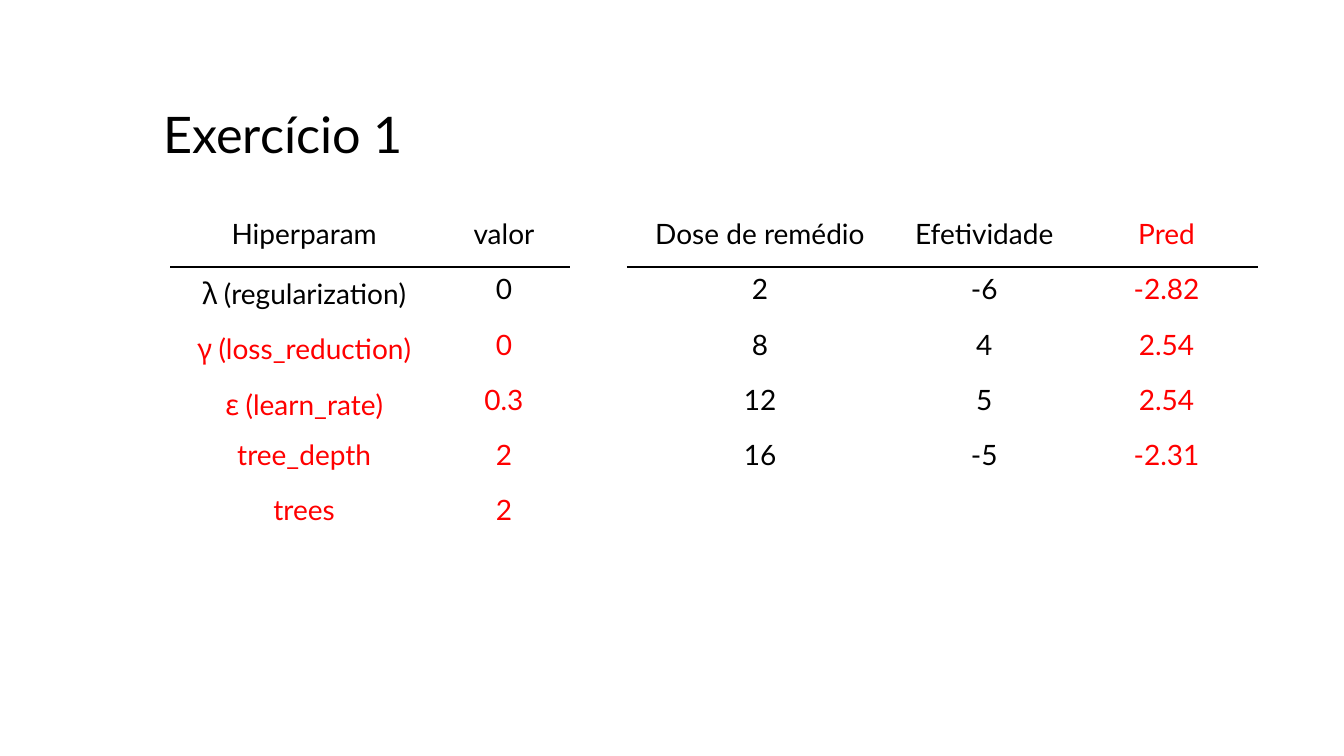
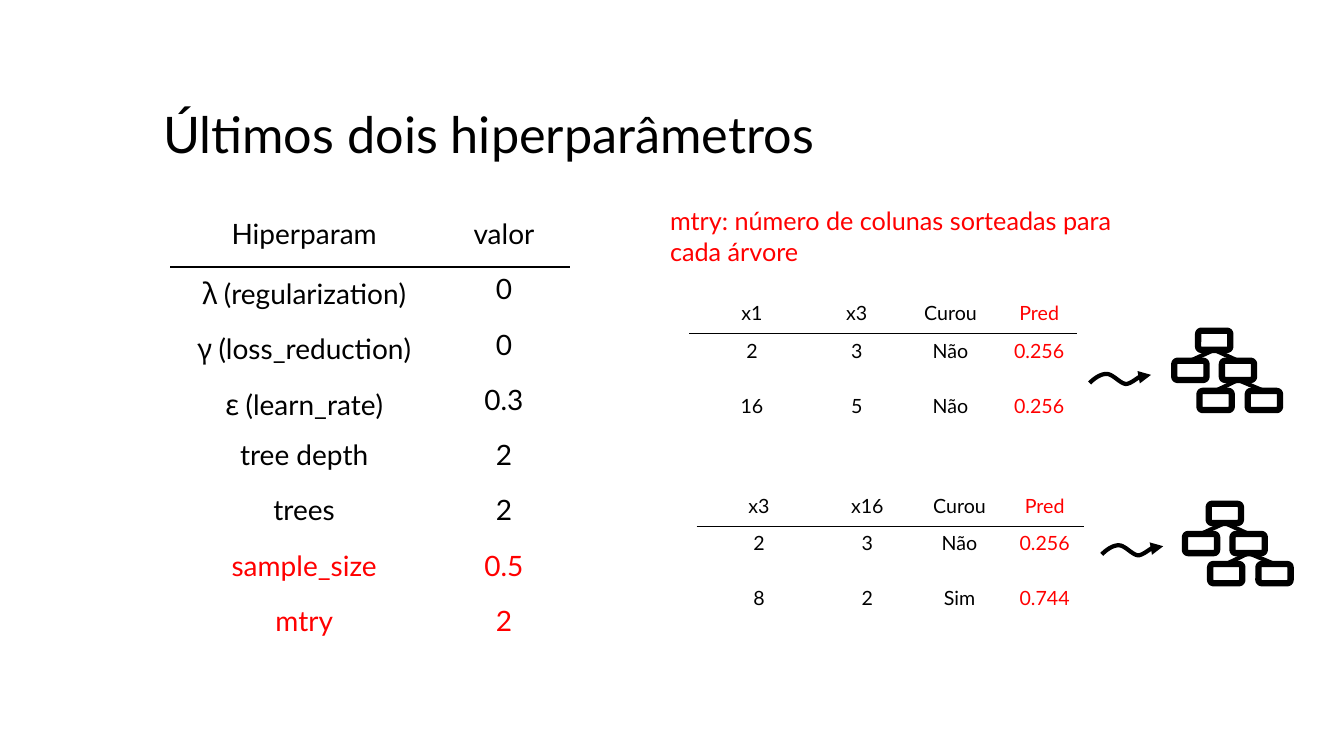
import pptx
import pptx.util
import pptx.dml.color
import pptx.enum.shapes
import pptx.enum.text
import pptx.oxml.ns
from lxml import etree

Pt = pptx.util.Pt
qn = pptx.oxml.ns.qn

COLOURS = {"text": "000000", "accent": "FF0000", "background": "FFFFFF"}
FONT, GREEK_FONT = "Lato", "Noto Sans CJK SC"
GREEK = "λγε"
NO_STYLE = "{2D5ABB26-0587-4C30-8999-92F81FD0307C}"
ROW_HEIGHT = 39.5

# Small tree: box corners, and links between parent and child boxes
BOX_WIDTH, BOX_HEIGHT = 23, 13.7
TREE_BOXES = [(17, 0), (0, 21.5), (34, 21.5), (18, 43), (52.5, 43)]
TREE_LINKS = [(0, 1), (0, 2), (2, 3), (2, 4)]

# Wavy arrow: cubic curves, each starting where the previous one ends
WAVE_START = (0, 6.5)
WAVE_CURVES = [
    [(3.6, 2.9), (7.9, 0), (12.2, 0)],
    [(16.6, 0), (21.6, 6.8), (25.9, 7.2)],
    [(29.5, 7.2), (34.6, 2.2), (37.4, 1.2)],
    [(40.3, 0.2), (41.8, 0.5), (43.9, 0.7)],
]
CURVE_STEPS = 10


def rgb(name):
    return pptx.dml.color.RGBColor.from_string(COLOURS[name])


def assign(target, values):
    for name, value in values.items():
        setattr(target, name, value)


def wave_points():
    points, start = [WAVE_START], WAVE_START
    for first, second, end in WAVE_CURVES:
        for step in range(1, CURVE_STEPS + 1):
            t = step / CURVE_STEPS
            weights = ((1 - t) ** 3, 3 * t * (1 - t) ** 2, 3 * t * t * (1 - t), t ** 3)
            corners = (start, first, second, end)
            points.append(tuple(sum(w * c[axis] for w, c in zip(weights, corners))
                                for axis in (0, 1)))
        start = end
    return points


class Deck:
    def __init__(self):
        self.presentation = pptx.Presentation()
        assign(self.presentation, {"slide_width": Pt(960), "slide_height": Pt(540)})
        self.slide = None

    def new_slide(self, title, title_width):
        self.slide = self.presentation.slides.add_slide(self.presentation.slide_layouts[6])
        self.text(109.4, 69.8, title_width, 51, title, 36, wrap=False)

    def run(self, paragraph, text, size, colour, font=FONT):
        run = paragraph.add_run()
        run.text = text
        assign(run.font, {"name": font, "size": Pt(size)})
        run.font.color.rgb = rgb(colour)

    def text(self, left, top, width, height, text, size, colour="text", wrap=True):
        box = self.slide.shapes.add_textbox(Pt(left), Pt(top), Pt(width), Pt(height))
        assign(box.text_frame, {
            "word_wrap": wrap,
            "auto_size": pptx.enum.text.MSO_AUTO_SIZE.SHAPE_TO_FIT_TEXT})
        self.run(box.text_frame.paragraphs[0], text, size, colour)

    def table(self, left, top, widths, rows, size=20, header_height=ROW_HEIGHT,
              accent_rows=(), accent_columns=()):
        heights = [header_height] + [ROW_HEIGHT] * (len(rows) - 1)
        frame = self.slide.shapes.add_table(len(rows), len(widths), Pt(left), Pt(top),
                                            Pt(sum(widths)), Pt(sum(heights)))
        table = frame.table
        assign(table, {"first_row": False, "horz_banding": False})
        table._tbl.tblPr.find(qn("a:tableStyleId")).text = NO_STYLE
        for column, width in zip(table.columns, widths):
            column.width = Pt(width)
        for row, height in zip(table.rows, heights):
            row.height = Pt(height)
        for i, row in enumerate(rows):
            for j, value in enumerate(row):
                accent = i in accent_rows or j in accent_columns
                self.cell(table.cell(i, j), value, size, "accent" if accent else "text")
                if i == 0:
                    self.bottom_border(table.cell(i, j))

    def cell(self, cell, value, size, colour):
        cell.fill.background()
        paragraph = cell.text_frame.paragraphs[0]
        paragraph.alignment = pptx.enum.text.PP_ALIGN.CENTER
        if value[0] in GREEK:
            self.run(paragraph, value[:2], size, colour, GREEK_FONT)
            value = value[2:]
        self.run(paragraph, value, size, colour)

    def bottom_border(self, cell):
        border = etree.Element(qn("a:lnB"), w=str(Pt(1)))
        fill = etree.SubElement(border, qn("a:solidFill"))
        etree.SubElement(fill, qn("a:srgbClr"), val=COLOURS["text"])
        cell._tc.get_or_add_tcPr().insert(0, border)

    def outline(self, shape, width):
        shape.line.color.rgb = rgb("text")
        shape.line.width = Pt(width)

    def tree(self, left, top):
        shapes = self.slide.shapes.add_group_shape().shapes
        for x, y in TREE_BOXES:
            box = shapes.add_shape(pptx.enum.shapes.MSO_SHAPE.ROUNDED_RECTANGLE,
                                   Pt(left + x), Pt(top + y), Pt(BOX_WIDTH), Pt(BOX_HEIGHT))
            box.shadow.inherit = False
            box.fill.solid()
            box.fill.fore_color.rgb = rgb("background")
            self.outline(box, 4.5)
        centre = left + BOX_WIDTH / 2
        for parent, child in TREE_LINKS:
            (parent_x, parent_y), (child_x, child_y) = TREE_BOXES[parent], TREE_BOXES[child]
            link = shapes.add_connector(
                pptx.enum.shapes.MSO_CONNECTOR.STRAIGHT,
                Pt(centre + child_x), Pt(top + child_y),
                Pt(centre + parent_x), Pt(top + parent_y + BOX_HEIGHT))
            self.outline(link, 3)
            etree.SubElement(link._element.spPr, qn("a:effectLst"))

    def wavy_arrow(self, left, top):
        points = [(Pt(left + x), Pt(top + y)) for x, y in wave_points()]
        builder = self.slide.shapes.build_freeform(*points[0])
        builder.add_line_segments(points[1:], close=False)
        arrow = builder.convert_to_shape()
        arrow.shadow.inherit = False
        arrow.fill.background()
        self.outline(arrow, 3)
        etree.SubElement(arrow.line._get_or_add_ln(), qn("a:tailEnd"), type="triangle")


def hyperparameters(depth_name):
    return [("Hiperparam", "valor"), ("λ (regularization)", "0"),
            ("γ (loss_reduction)", "0"), ("ε (learn_rate)", "0.3"),
            (depth_name, "2"), ("trees", "2")]


HYPERPARAMETER_PLACE = (121.7, 151.2, (191.2, 94.2))
deck = Deck()

# Slide 1: exercise
deck.new_slide("Exercício 1", 201.6)
deck.table(447.8, 151.2, (190.2, 130.2, 130.2), [
    ("Dose de remédio", "Efetividade", "Pred"),
    ("2", "-6", "-2.82"),
    ("8", "4", "2.54"),
    ("12", "5", "2.54"),
    ("16", "-5", "-2.31"),
], accent_columns=(2,))
deck.table(*HYPERPARAMETER_PLACE, hyperparameters("tree_depth"), accent_rows=range(2, 6))

# Slide 2: last two hyperparameters
deck.new_slide("Últimos dois hiperparâmetros", 545.8)
deck.table(*HYPERPARAMETER_PLACE,
           hyperparameters("tree depth") + [("sample_size", "0.5"), ("mtry", "2")],
           accent_rows=(6, 7))
deck.text(471.6, 143.3, 350.6, 51, "mtry: número de colunas sorteadas para cada árvore",
          18, "accent")

# Sampled columns, each leading to its own tree
samples = [
    {"table": (492.5, 211.7, (89.3, 60.5, 73.4, 53.3)),
     "rows": [("x1", "x3", "Curou", "Pred"), ("2", "3", "Não", "0.256"),
              ("16", "5", "Não", "0.256")],
     "tree": (838.8, 236.2), "arrow": (778.3, 267.1)},
    {"table": (497.5, 349.2, (89.3, 65.5, 66.2, 55.5)),
     "rows": [("x3", "x16", "Curou", "Pred"), ("2", "3", "Não", "0.256"),
              ("8", "2", "Sim", "0.744")],
     "tree": (846.4, 359.9), "arrow": (787, 389.5)},
]
for sample in samples:
    deck.table(*sample["table"], sample["rows"], size=14, header_height=26.7,
               accent_columns=(3,))
    deck.tree(*sample["tree"])
    deck.wavy_arrow(*sample["arrow"])

deck.presentation.save("out.pptx")
